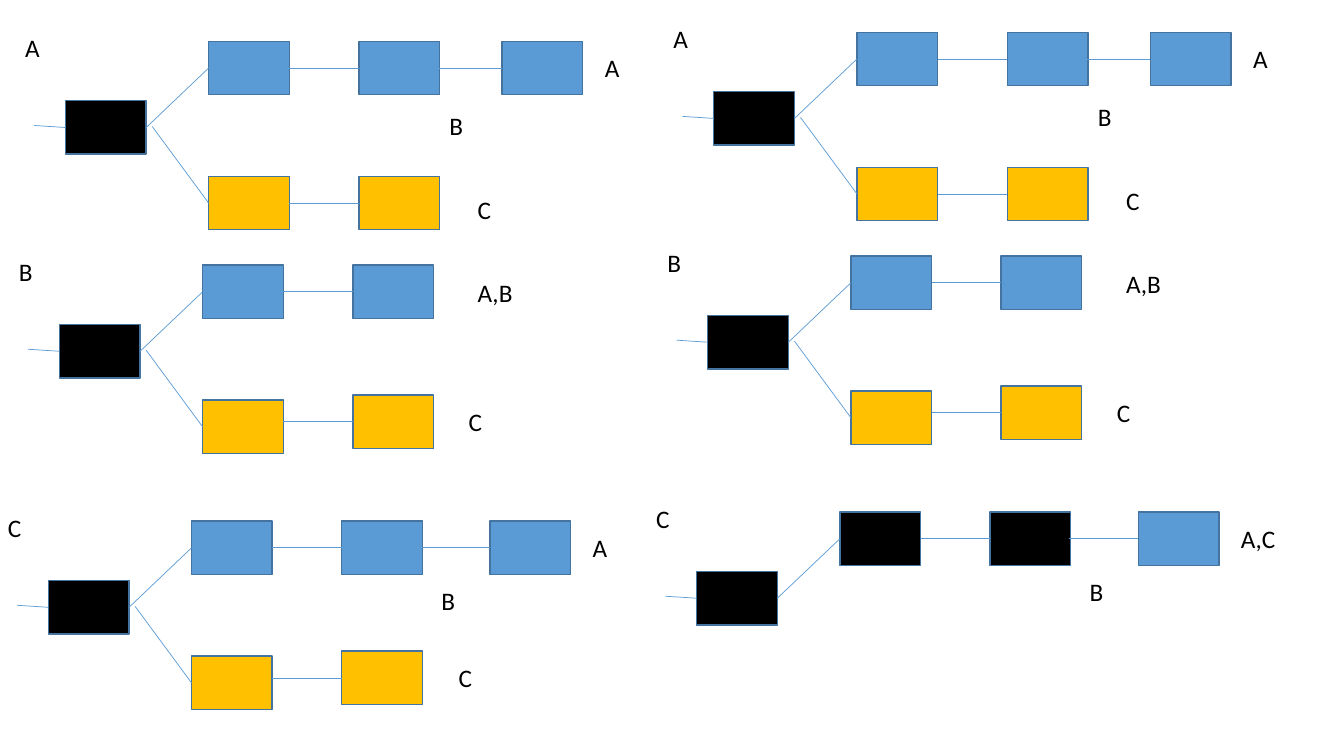
from dataclasses import dataclass

from lxml.etree import SubElement
from pptx import Presentation
from pptx.dml.color import RGBColor
from pptx.enum.shapes import MSO_CONNECTOR, MSO_SHAPE
from pptx.enum.text import MSO_AUTO_SIZE
from pptx.oxml.ns import qn
from pptx.slide import Slide
from pptx.util import Inches, Pt

BLACK, BLUE, GOLD, OUTLINE = "000000", "5B9BD5", "FFC000", "43739E"
BOX_WIDTH, BOX_HEIGHT = 0.8, 0.53
MIDDLE = BOX_HEIGHT / 2
FIRST_X, SECOND_X = 1.42, 2.91
UPPER_Y, LOWER_Y = -0.59, 0.75
LAST_LINK = 0.69
COLUMN_SHIFT_X, COLUMN_SHIFT_Y = 6.43, -0.09


@dataclass(frozen=True)
class Label:
    text: str
    x: float
    y: float


@dataclass(frozen=True)
class Tree:
    name: str
    left: float
    top: float
    labels: tuple[Label, ...]
    third_x: float | None = None
    second_lower_y: float | None = LOWER_Y
    upper_color: str = BLUE


def color(value: str) -> RGBColor:
    return RGBColor.from_string(value)


def add_box(slide: Slide, left: float, top: float, fill: str) -> None:
    box = slide.shapes.add_shape(
        MSO_SHAPE.RECTANGLE, Inches(left), Inches(top), Inches(BOX_WIDTH), Inches(BOX_HEIGHT)
    )
    box.shadow.inherit = False
    box.fill.solid()
    box.fill.fore_color.rgb = color(fill)
    box.line.color.rgb = color(OUTLINE)
    box.line.width = Pt(1)


def add_line(slide: Slide, x1: float, y1: float, x2: float, y2: float) -> None:
    line = slide.shapes.add_connector(
        MSO_CONNECTOR.STRAIGHT, Inches(x1), Inches(y1), Inches(x2), Inches(y2)
    )
    line.line.color.rgb = color(BLUE)
    line.line.width = Pt(0.5)
    SubElement(line._element.spPr, qn("a:effectLst"))


def add_label(slide: Slide, text: str, left: float, top: float) -> None:
    label = slide.shapes.add_textbox(Inches(left), Inches(top), Inches(0.7), Inches(0.4))
    frame = label.text_frame
    frame.word_wrap = True
    frame.auto_size = MSO_AUTO_SIZE.SHAPE_TO_FIT_TEXT
    paragraph = frame.paragraphs[0]
    paragraph.text = text
    paragraph.font.name = "Calibri"
    paragraph.font.size = Pt(18)
    paragraph.font.color.rgb = color(BLACK)


def draw_tree(slide: Slide, tree: Tree, shift_x: float, shift_y: float) -> None:
    left, top = tree.left + shift_x, tree.top + shift_y
    upper_middle = UPPER_Y + MIDDLE
    boxes = [
        (0, 0, BLACK),
        (FIRST_X, UPPER_Y, tree.upper_color),
        (SECOND_X, UPPER_Y, tree.upper_color),
    ]
    lines = [
        (0, MIDDLE, -0.31, MIDDLE - 0.02),
        (BOX_WIDTH, MIDDLE, FIRST_X, upper_middle),
        (FIRST_X + BOX_WIDTH, upper_middle, SECOND_X, upper_middle),
    ]
    if tree.third_x is not None:
        boxes.append((tree.third_x, UPPER_Y, BLUE))
        lines.append((tree.third_x - LAST_LINK, upper_middle, tree.third_x, upper_middle))
    if tree.second_lower_y is not None:
        lower_middle = tree.second_lower_y + MIDDLE
        boxes += [(FIRST_X, LOWER_Y, GOLD), (SECOND_X, tree.second_lower_y, GOLD)]
        lines += [
            (BOX_WIDTH + 0.06, MIDDLE - 0.01, FIRST_X, LOWER_Y + MIDDLE),
            (FIRST_X + BOX_WIDTH, lower_middle, SECOND_X, lower_middle),
        ]
    for x, y, fill in boxes:
        add_box(slide, left + x, top + y, fill)
    for x1, y1, x2, y2 in lines:
        add_line(slide, left + x1, top + y1, left + x2, top + y2)
    for label in (Label(tree.name, -0.5, -0.73), *tree.labels):
        add_label(slide, label.text, left + label.x, top + label.y)


def main() -> None:
    presentation = Presentation()
    presentation.slide_width = Inches(13.33)
    presentation.slide_height = Inches(7.5)
    slide = presentation.slides.add_slide(presentation.slide_layouts[6])

    tree_a = Tree(
        "A", 0.65, 1,
        (Label("A", 5.25, -0.53), Label("B", 3.71, 0.05), Label("C", 3.99, 0.88)),
        third_x=4.33,
    )
    tree_b = Tree(
        "B", 0.59, 3.22,
        (Label("A,B", 4.05, -0.52), Label("C", 3.96, 0.76)),
        second_lower_y=0.7,
    )
    tree_c = Tree(
        "C", 0.48, 5.76,
        (Label("A", 5.3, -0.53), Label("B", 3.8, 0), Label("C", 3.97, 0.76)),
        third_x=4.38, second_lower_y=0.7,
    )
    merged_c = Tree(
        "C", 0.48, 5.76,
        (Label("A,C", 5.3, -0.53), Label("B", 3.8, 0)),
        third_x=4.38, second_lower_y=None, upper_color=BLACK,
    )
    columns = ((tree_a, tree_b, tree_c), (tree_a, tree_b, merged_c))
    for column, trees in enumerate(columns):
        for tree in trees:
            draw_tree(slide, tree, column * COLUMN_SHIFT_X, column * COLUMN_SHIFT_Y)

    presentation.save("out.pptx")


if __name__ == "__main__":
    main()
